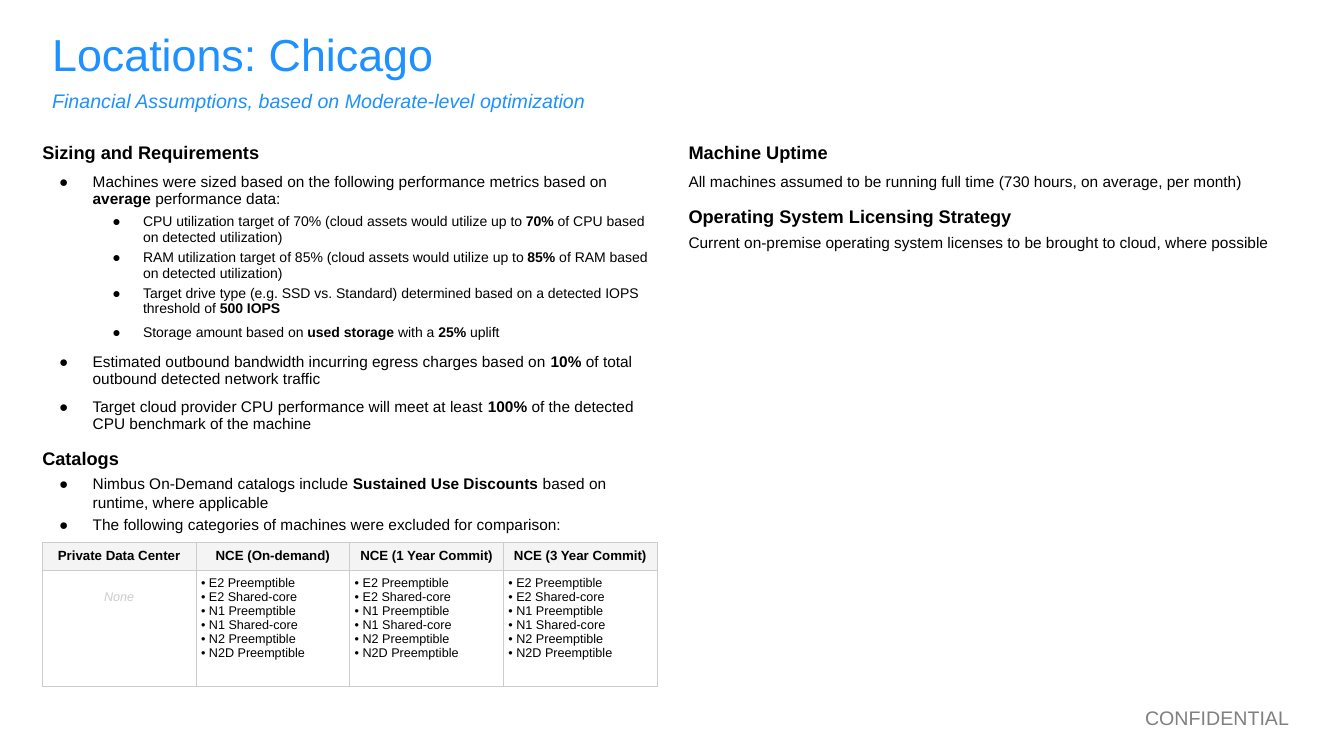
from lxml.etree import SubElement
from pptx import Presentation
from pptx.dml.color import RGBColor
from pptx.enum.text import MSO_ANCHOR as Anchor, PP_ALIGN as Align
from pptx.oxml import parse_xml
from pptx.oxml.ns import nsdecls, qn
from pptx.util import Pt

BLUE = RGBColor(0x1E, 0x90, 0xFF)
BLACK = RGBColor(0, 0, 0)
GRAY = RGBColor(0x80, 0x80, 0x80)
PALE = RGBColor(0xCC, 0xCC, 0xCC)
HEADER_FILL = RGBColor(0xF4, 0xF4, 0xF4)
FONT = "Arial"
NO_STYLE = "{2D5ABB26-0587-4C30-8999-92F81FD0307C}"
COLUMNS, COLUMN_WIDTH, ROW_HEIGHT = 4, 109.8, 20

# Row kinds: size, bold, top and bottom margin, indent, hanging, level
HEADING = (13, True, 0, 0.7, 0, 0, 0)
LATER_HEADING = (13, True, 7.2, 0.7, 0, 0, 0)
BODY = (11, False, 2.9, 2.9, 0, 0, 0)
BULLET = (11, False, 2.9, 2.9, 36, 24, 0)
SUB_BULLET = (10, False, 0, 1.4, 72, 22, 1)
CATALOG_BULLET = (11, False, 0, 0.7, 36, 24, 0)
LAST_BULLET = (11, False, 0, 4.3, 36, 24, 0)

# Asterisks enclose the bold words
SIZING_ROWS = [
    (HEADING, "Sizing and Requirements"),
    (BULLET, "Machines were sized based on the following performance metrics "
             "based on *average* performance data:"),
    (SUB_BULLET, "CPU utilization target of 70% (cloud assets would utilize "
                 "up to *70%* of CPU based on detected utilization)"),
    (SUB_BULLET, "RAM utilization target of 85% (cloud assets would utilize "
                 "up to *85%* of RAM based on detected utilization)"),
    (SUB_BULLET, "Target drive type (e.g. SSD vs. Standard) determined based "
                 "on a detected IOPS threshold of *500 IOPS*"),
    (SUB_BULLET, "Storage amount based on *used storage *with a *25%* uplift"),
    (BULLET, "Estimated outbound bandwidth incurring egress charges based on "
             "*10% *of total outbound detected network traffic"),
    (BULLET, "Target cloud provider CPU performance will meet at least *100%* "
             "of the detected CPU benchmark of the machine"),
    (LATER_HEADING, "Catalogs"),
    (CATALOG_BULLET, "Nimbus On-Demand catalogs include *Sustained Use "
                     "Discounts* based on runtime, where applicable"),
    (LAST_BULLET, "The following categories of machines were excluded for "
                  "comparison:"),
]
UPTIME_ROWS = [
    (HEADING, "Machine Uptime"),
    (BODY, "All machines assumed to be running full time (730 hours, on "
           "average, per month)"),
    (LATER_HEADING, "Operating System Licensing Strategy"),
    (BODY, "Current on-premise operating system licenses to be brought to "
           "cloud, where possible"),
]
CATALOGS = ["Private Data Center", "NCE (On-demand)",
            "NCE (1 Year Commit)", "NCE (3 Year Commit)"]
EXCLUDED = ["E2 Preemptible", "E2 Shared-core", "N1 Preemptible",
            "N1 Shared-core", "N2 Preemptible", "N2D Preemptible"]


def add_span(para, text, size, color, bold=False, italic=False):
    span = para.add_run()
    span.text = text
    font = span.font
    font.name, font.size, font.bold, font.italic = FONT, Pt(size), bold, italic
    font.color.rgb = color


def set_margins(target, left, top, right, bottom):
    target.margin_left, target.margin_top = Pt(left), Pt(top)
    target.margin_right, target.margin_bottom = Pt(right), Pt(bottom)


def add_label(page, box, text, size, color, align=Align.LEFT, italic=False,
              inset=7.2):
    shape = page.shapes.add_textbox(*map(Pt, box))
    frame = shape.text_frame
    frame.word_wrap = True
    set_margins(frame, 7.2, inset, 7.2, inset)
    para = frame.paragraphs[0]
    para.alignment = align
    add_span(para, text, size, color, italic=italic)


def add_bullet(para, indent, hanging, level):
    para.level = level
    props = para._p.get_or_add_pPr()
    props.set("marL", str(Pt(indent)))
    props.set("indent", str(-Pt(hanging)))
    color = SubElement(SubElement(props, qn("a:buClr")), qn("a:srgbClr"))
    color.set("val", str(BLACK))
    SubElement(props, qn("a:buFont")).set("typeface", FONT)
    SubElement(props, qn("a:buChar")).set("char", "●")


def add_borders(cell):
    props = cell._tc.get_or_add_tcPr()
    for position, side in enumerate(("lnL", "lnR", "lnT", "lnB")):
        props.insert(position, parse_xml(
            f'<a:{side} {nsdecls("a")} w="{Pt(0.75)}"><a:solidFill>'
            f'<a:srgbClr val="{PALE}"/></a:solidFill></a:{side}>'))


def add_plain_table(page, left, top, row_count):
    frame = page.shapes.add_table(
        row_count, COLUMNS, Pt(left), Pt(top),
        Pt(COLUMNS * COLUMN_WIDTH), Pt(row_count * ROW_HEIGHT))
    table = frame.table
    table.first_row = table.horz_banding = False
    table._tbl.tblPr.find(qn("a:tableStyleId")).text = NO_STYLE
    for row in table.rows:
        row.height = Pt(ROW_HEIGHT)
    for cell in table.iter_cells():
        cell.fill.background()
    return table


def fill_text_rows(table, rows, space_after=None):
    for index, (kind, text) in enumerate(rows):
        size, bold, above, below, indent, hanging, level = kind
        cell = table.cell(index, 0)
        cell.merge(table.cell(index, COLUMNS - 1))
        cell.vertical_anchor = Anchor.MIDDLE
        set_margins(cell, 0, above, 0, below)
        para = cell.text_frame.paragraphs[0]
        if space_after:
            para.space_after = Pt(space_after)
        if kind is CATALOG_BULLET:
            para.line_spacing = 1.15
        if hanging:
            add_bullet(para, indent, hanging, level)
        for part, words in enumerate(text.split("*")):
            if words:
                add_span(para, words, size, BLACK, bold or part % 2 == 1)


def fill_catalog_rows(table, first_row):
    for column, name in enumerate(CATALOGS):
        # Header cell
        header = table.cell(first_row, column)
        header.fill.solid()
        header.fill.fore_color.rgb = HEADER_FILL
        header.vertical_anchor = Anchor.MIDDLE
        set_margins(header, 0, 0, 0, 0.7)
        para = header.text_frame.paragraphs[0]
        para.alignment = Align.CENTER
        add_span(para, name, 9.5, BLACK, bold=True)
        add_borders(header)

        # Excluded machines
        cell = table.cell(first_row + 1, column)
        set_margins(cell, 3.6, 3.6, 3.6, 14.4)
        add_borders(cell)
        frame = cell.text_frame
        if column == 0:
            cell.margin_top = Pt(14)
            frame.paragraphs[0].alignment = Align.CENTER
            add_span(frame.paragraphs[0], "None", 9, PALE, italic=True)
            continue
        for index, machine in enumerate(EXCLUDED):
            para = frame.add_paragraph() if index else frame.paragraphs[0]
            add_span(para, f"• {machine}", 9, BLACK)


def add_titles(page, left, top, width):
    add_label(page, (left, top, width, 63.4), "Locations: Chicago", 32, BLUE)
    add_label(page, (left, top + 44, width, 63.4),
              "Financial Assumptions, based on Moderate-level optimization",
              14, BLUE, italic=True)


def add_sizing(page, left, top):
    table = add_plain_table(page, left, top, len(SIZING_ROWS) + 2)
    fill_text_rows(table, SIZING_ROWS)
    fill_catalog_rows(table, len(SIZING_ROWS))


def add_uptime(page, left, top):
    table = add_plain_table(page, left, top, len(UPTIME_ROWS))
    fill_text_rows(table, UPTIME_ROWS, space_after=3)


def main():
    deck = Presentation()
    deck.slide_width, deck.slide_height = Pt(960), Pt(540)
    page = deck.slides.add_slide(deck.slide_layouts[6])
    add_label(page, (768, 500.4, 160, 24.5), "CONFIDENTIAL", 14, GRAY,
              Align.RIGHT, inset=3.6)
    add_titles(page, 30.2, 12.2, 900)
    add_sizing(page, 30.2, 100)
    add_uptime(page, 491.8, 100)
    deck.save("out.pptx")


if __name__ == "__main__":
    main()
